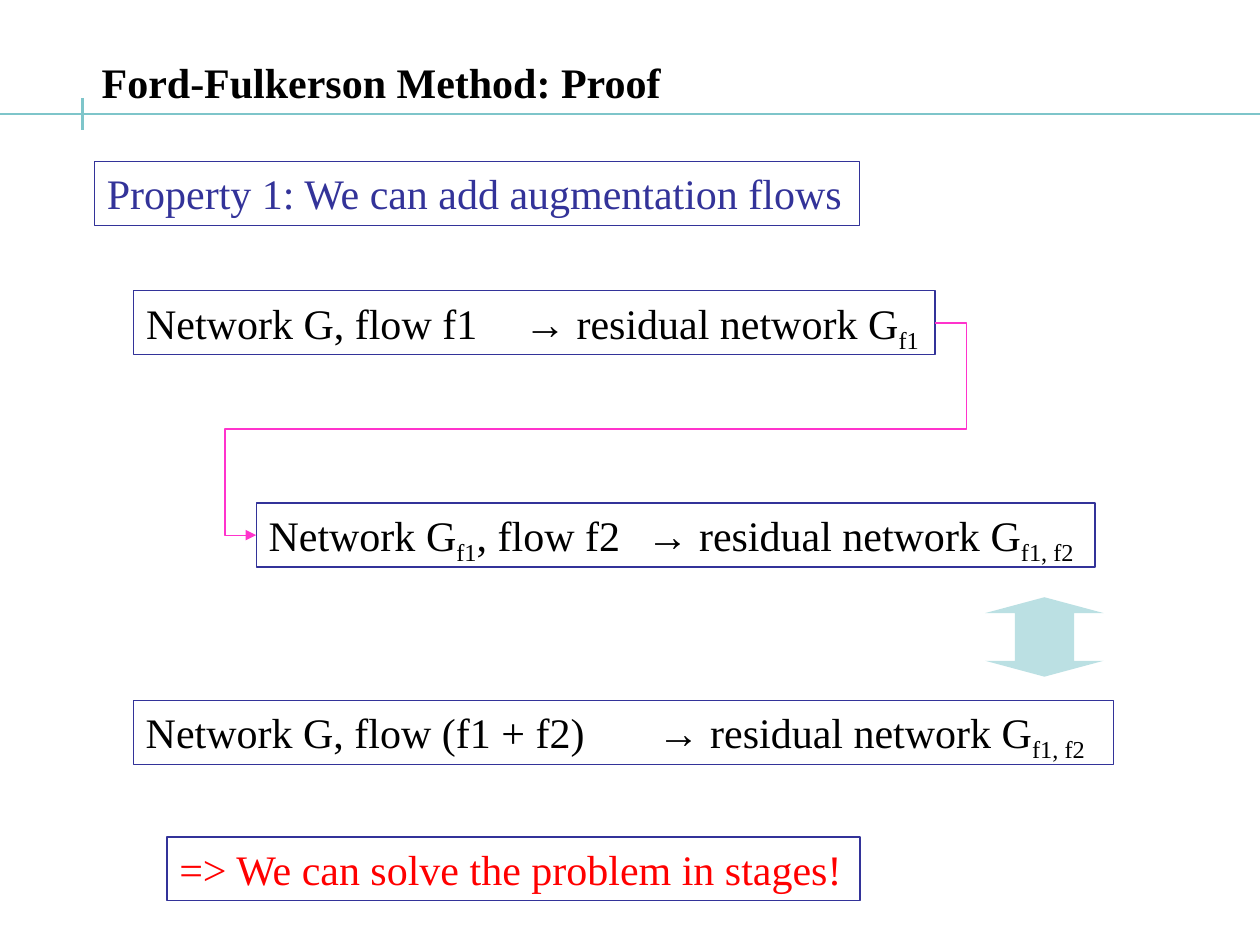
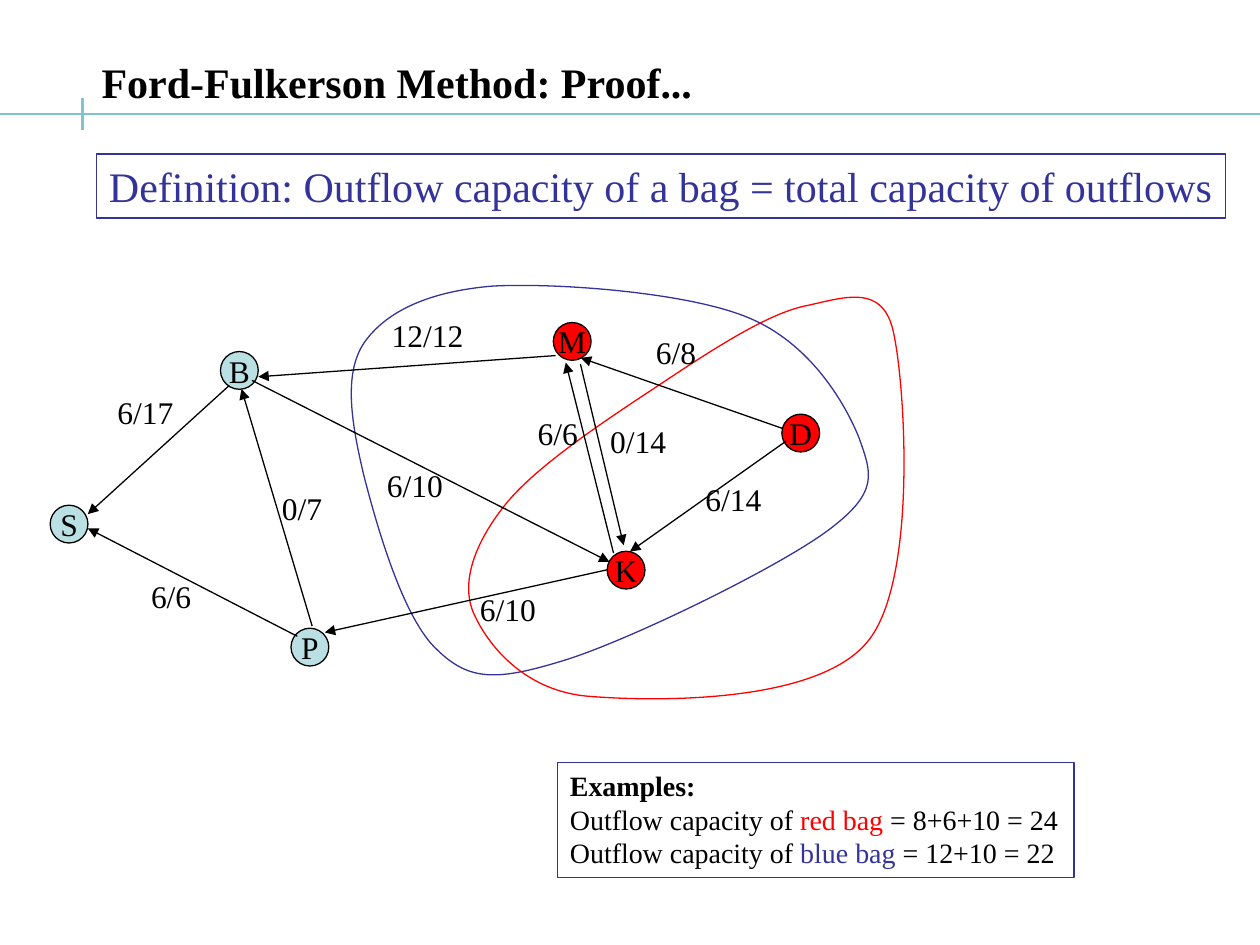
from lxml import etree
from pptx import Presentation
from pptx.dml.color import RGBColor
from pptx.enum.shapes import MSO_CONNECTOR, MSO_SHAPE
from pptx.enum.text import MSO_ANCHOR, PP_ALIGN
from pptx.oxml.ns import qn
from pptx.util import Pt

RECTANGLE, ELLIPSE, DOUBLE_ARROW = MSO_SHAPE.RECTANGLE, MSO_SHAPE.OVAL, MSO_SHAPE.UP_DOWN_ARROW
STRAIGHT, ELBOW = MSO_CONNECTOR.STRAIGHT, MSO_CONNECTOR.ELBOW
TOP, MIDDLE = MSO_ANCHOR.TOP, MSO_ANCHOR.MIDDLE
LEFT, CENTER = PP_ALIGN.LEFT, PP_ALIGN.CENTER

FONT = "Times New Roman"
BLACK, RED, BLUE = "000000", "FF0000", "333399"
TEAL, PALE_TEAL, PINK = "7EC5CA", "BBE0E3", "FF33CC"
SUB = {"subscript": True}
color = RGBColor.from_string


def add_text(slide, paragraphs, left, top, width, height, shape=None, fill=None,
             outline=BLUE, size=24, text_color=BLACK, bold=False, align=LEFT,
             anchor=TOP, wrap=False, tab=None):
    """Each paragraph is a list of runs: (text, overrides of color, bold, subscript)."""
    place = Pt(left), Pt(top), Pt(width), Pt(height)
    if shape is None:
        box = slide.shapes.add_textbox(*place)
    else:
        box = slide.shapes.add_shape(shape, *place)
        box.shadow.inherit = False
        box.line.color.rgb = color(outline)
        box.line.width = Pt(0.75)
        if fill:
            box.fill.solid()
            box.fill.fore_color.rgb = color(fill)
        else:
            box.fill.background()
    frame = box.text_frame
    frame.word_wrap = wrap
    frame.vertical_anchor = anchor
    for index, spans in enumerate(paragraphs):
        para = frame.add_paragraph() if index else frame.paragraphs[0]
        para.alignment = align
        if tab:
            stops = etree.SubElement(para._p.get_or_add_pPr(), qn("a:tabLst"))
            etree.SubElement(stops, qn("a:tab"), pos=str(Pt(tab)), algn="l")
        for text, style in spans:
            span = para.add_run()
            span.text = text
            span.font.name = FONT
            span.font.size = Pt(size)
            span.font.bold = style.get("bold", bold)
            span.font.color.rgb = color(style.get("color", text_color))
            if style.get("subscript"):
                span._r.get_or_add_rPr().set("baseline", "-25000")
    return box


def add_line(slide, start, end, line_color=BLACK, width=0.75, kind=STRAIGHT, arrow=True):
    line = slide.shapes.add_connector(kind, *(Pt(value) for value in (*start, *end)))
    line.line.color.rgb = color(line_color)
    line.line.width = Pt(width)
    if arrow:
        etree.SubElement(line.line._get_or_add_ln(), qn("a:tailEnd"), type="triangle")
    etree.SubElement(line._element.spPr, qn("a:effectLst"))
    return line


deck = Presentation()
deck.slide_width, deck.slide_height = Pt(720), Pt(540)

# Title and rules shared by both slides
slides = []
for title, title_width in (("Ford-Fulkerson Method: Proof", 334),
                           ("Ford-Fulkerson Method: Proof...", 352)):
    page = deck.slides.add_slide(deck.slide_layouts[6])
    add_line(page, (0, 65.1), (720, 65.1), TEAL, 1.5, arrow=False)
    add_line(page, (47.3, 56), (47.3, 74.3), TEAL, 1.5, arrow=False)
    add_text(page, [[(title, {})]], 51, 29, title_width, 36, bold=True)
    slides.append(page)
stages_page, bags_page = slides

# Slide 1: adding flows in stages
first_stage = add_text(
    stages_page,
    [[("Network G, flow f1\t→ residual network G", {}), ("f1", SUB)]],
    76.4, 166.2, 458, 36.6, RECTANGLE, tab=216)
second_stage = add_text(
    stages_page,
    [[("Network G", {}), ("f1", SUB),
      (", flow f2\t→ residual network G", {}), ("f1, f2", SUB)]],
    146.4, 287.5, 479.4, 36.6, RECTANGLE, tab=216)
add_text(
    stages_page,
    [[("Network G, flow (f1 + f2)\t→ residual network G", {}), ("f1, f2", SUB)]],
    76.2, 400.1, 560, 36.6, RECTANGLE, wrap=True, tab=292.6)
add_text(stages_page, [[("=> We can solve the problem in stages!", {})]],
         95.4, 478.2, 396, 36.6, RECTANGLE, text_color=RED)
add_text(stages_page, [[("Property 1: We can add augmentation flows", {})]],
         54, 92.2, 437.2, 36.6, RECTANGLE, text_color=BLUE)

link = add_line(stages_page, (534.4, 184.5), (146.4, 305.8), PINK, kind=ELBOW)
link.begin_connect(first_stage, 3)
link.end_connect(second_stage, 1)

equivalence = stages_page.shapes.add_shape(
    DOUBLE_ARROW, Pt(563), Pt(341.3), Pt(67.7), Pt(45.4))
equivalence.shadow.inherit = False
equivalence.fill.solid()
equivalence.fill.fore_color.rgb = color(PALE_TEAL)
equivalence.line.fill.background()

for shape, preset, adjustments in ((link, "bentConnector5", (-4600, 50000, 104600)),
                                   (equivalence, "upDownArrow", (50000, 20000))):
    geometry = shape._element.spPr.find(qn("a:prstGeom"))
    geometry.set("prst", preset)
    for old_guides in geometry.findall(qn("a:avLst")):
        geometry.remove(old_guides)
    guides = etree.SubElement(geometry, qn("a:avLst"))
    for number, value in enumerate(adjustments, 1):
        etree.SubElement(guides, qn("a:gd"), name=f"adj{number}", fmla=f"val {value}")

# Slide 2: outflow capacity of bags
add_text(bags_page,
         [[("Definition: Outflow capacity of a bag = total capacity of outflows", {})]],
         55.2, 88, 645, 36.6, RECTANGLE, text_color=BLUE)

# Each bag is a closed chain of cubic curves: a start, then three points per curve
bags = {
    RED: [(459.5, 175),
          (437, 180), (404.5, 201.5), (376, 220.5),
          (348, 239), (307.5, 265.5), (289.5, 287.5),
          (272, 309), (263, 332), (270.5, 350),
          (278.5, 368.5), (300, 395.5), (337.5, 398),
          (375, 401), (466.5, 402), (495.5, 367),
          (524, 333.5), (517.5, 224), (511, 192),
          (505.5, 160.5), (481.5, 170.5), (459.5, 175)],
    BLUE: [(491, 250.5),
           (483, 230.5), (463, 196), (427.5, 181.5),
           (393, 167), (318, 161.5), (281.5, 163.5),
           (245, 166.5), (220.5, 178), (208, 196),
           (196, 214), (201, 242.5), (208, 272),
           (215.5, 301), (230.5, 354), (250, 371.5),
           (268.5, 389.5), (284.5, 389), (322, 377.5),
           (359.5, 366), (445.5, 324), (474, 302.5),
           (502.5, 281), (498, 270.5), (491, 250.5)],
}
for bag_color, points in bags.items():
    start, *controls = [(Pt(x), Pt(y)) for x, y in points]
    builder = bags_page.shapes.build_freeform(*start)
    builder.add_line_segments(controls, close=True)
    bag = builder.convert_to_shape()
    bag.shadow.inherit = False
    bag.fill.background()
    bag.line.color.rgb = color(bag_color)
    bag.line.width = Pt(0.75)
    # Turn every three straight segments into one cubic curve
    segments = list(bag._element.iter(qn("a:lnTo")))
    for first in range(0, len(segments), 3):
        curve = etree.Element(qn("a:cubicBezTo"))
        segments[first].addprevious(curve)
        for segment in segments[first:first + 3]:
            curve.append(segment[0])
            segment.getparent().remove(segment)

nodes = [("D", 446.8, 236.7, RED), ("M", 316.2, 184.3, RED), ("K", 347, 315, RED),
         ("S", 28.7, 288.7, PALE_TEAL), ("B", 126, 200.9, PALE_TEAL),
         ("P", 166.3, 359, PALE_TEAL)]
for name, left, top, fill in nodes:
    add_text(bags_page, [[(name, {})]], left, top, 21.6, 21.6, ELLIPSE, fill=fill,
             outline=BLACK, size=18, align=CENTER, anchor=MIDDLE)

# Start, end, label, label position
edges = [((447.1, 244.8), (331.9, 204.5), "6/8", (367.7, 186.5)),
         ((449.3, 252), (360, 315.2), "6/14", (396, 270.7)),
         ((350.6, 316.1), (323.3, 207.2), "6/6", (300.2, 232.9)),
         ((331.7, 208.1), (356.4, 311.6), "0/14", (341.6, 237.6)),
         ((317.5, 203.2), (147.6, 215.3), "12/12", (216.8, 177.1)),
         ((144, 217.4), (348.3, 321.1), "6/10", (214, 262.8)),
         ((347, 325.6), (185.6, 361.4), "6/10", (267.2, 333.8)),
         ((169.9, 363.6), (50.2, 301.9), "6/6", (79.2, 326.2)),
         ((131, 220.3), (50.2, 293.8), "6/17", (60, 221)),
         ((178.4, 357.8), (138, 222.3), "0/7", (154, 275.8))]
for start, end, label, (left, top) in edges:
    add_line(bags_page, start, end)
    add_text(bags_page, [[(label, {})]], left, top, 9 * len(label) + 10.4, 28.8, size=18)

add_text(bags_page,
         [[("Examples:", {"bold": True})],
          [("Outflow capacity of ", {}), ("red bag", {"color": RED}),
           (" = 8+6+10 = 24", {})],
          [("Outflow capacity of ", {}), ("blue bag", {"color": BLUE}),
           (" = 12+10 = 22", {})]],
         318.6, 435.8, 295.2, 65.6, RECTANGLE, size=16)

deck.save("out.pptx")
